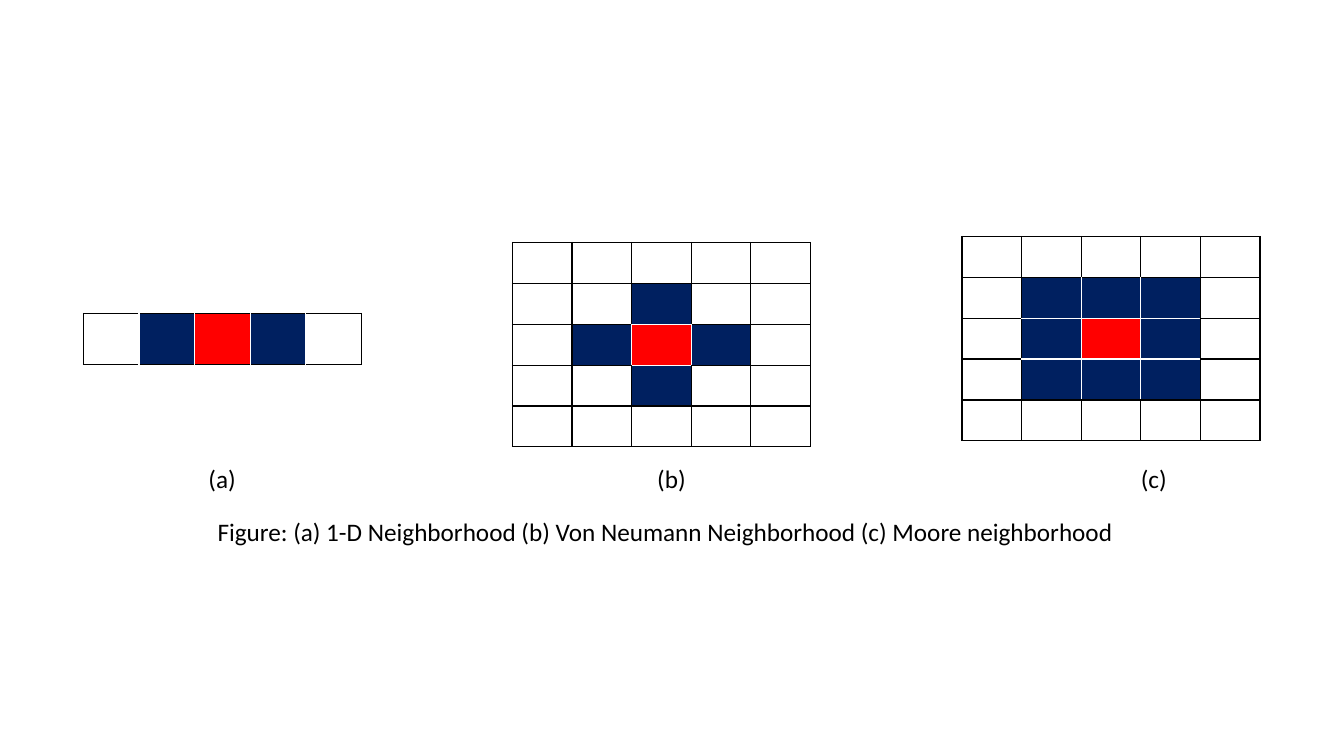
import pptx
import pptx.dml.color
import pptx.enum.text
import pptx.oxml
import pptx.oxml.ns
import pptx.util
from dataclasses import dataclass

Pt = pptx.util.Pt


@dataclass(frozen=True)
class Theme:
    blank: str = "FFFFFF"
    neighbor: str = "002060"
    center: str = "FF0000"
    ink: str = "000000"
    font: str = "Calibri"
    text_size: float = 18
    border_width: float = 1


class NeighborhoodSlide:
    """Holds the theme and the slide that is being filled."""

    def __init__(self, slide, theme):
        self.slide = slide
        self.theme = theme
        self.fills = {".": theme.blank, "N": theme.neighbor, "C": theme.center}

    def border(self, cell, position, side, color):
        line = pptx.oxml.parse_xml(
            f'<a:ln{side} {pptx.oxml.ns.nsdecls("a")} w="{Pt(self.theme.border_width)}">'
            f'<a:solidFill><a:srgbClr val="{color}"/></a:solidFill></a:ln{side}>')
        cell._tc.get_or_add_tcPr().insert(position, line)

    def grid(self, left, top, cell_width, cell_height, pattern, white_inside=False):
        """Inner edges are white between coloured cells, or everywhere if white_inside."""
        row_count, column_count = len(pattern), len(pattern[0])
        frame = self.slide.shapes.add_table(
            row_count, column_count, Pt(left), Pt(top),
            Pt(cell_width * column_count), Pt(cell_height * row_count))
        table = frame.table
        table.first_row = table.horz_banding = False
        for column in table.columns:
            column.width = Pt(cell_width)
        for row in table.rows:
            row.height = Pt(cell_height)

        def edge_color(row, column, next_row, next_column):
            if not (0 <= next_row < row_count and 0 <= next_column < column_count):
                return self.theme.ink
            pair = pattern[row][column] + pattern[next_row][next_column]
            return self.theme.blank if white_inside or "." not in pair else self.theme.ink

        # The schema asks for the sides in this order, ahead of the fill
        sides = {"L": (0, -1), "R": (0, 1), "T": (-1, 0), "B": (1, 0)}
        for row, marks in enumerate(pattern):
            for column, mark in enumerate(marks):
                cell = table.cell(row, column)
                cell.fill.solid()
                cell.fill.fore_color.rgb = pptx.dml.color.RGBColor.from_string(self.fills[mark])
                cell.text_frame.paragraphs[0].font.size = Pt(self.theme.text_size)
                for position, (side, (down, across)) in enumerate(sides.items()):
                    color = edge_color(row, column, row + down, column + across)
                    self.border(cell, position, side, color)

    def label(self, left, top, width, text):
        shape = self.slide.shapes.add_textbox(Pt(left), Pt(top), Pt(width), Pt(29))
        frame = shape.text_frame
        frame.word_wrap = False
        frame.auto_size = pptx.enum.text.MSO_AUTO_SIZE.SHAPE_TO_FIT_TEXT
        paragraph = frame.paragraphs[0]
        paragraph.text = text
        paragraph.font.name = self.theme.font
        paragraph.font.size = Pt(self.theme.text_size)
        paragraph.font.color.rgb = pptx.dml.color.RGBColor.from_string(self.theme.ink)


def main():
    presentation = pptx.Presentation()
    presentation.slide_width, presentation.slide_height = Pt(960), Pt(540)
    slide = presentation.slides.add_slide(presentation.slide_layouts[6])
    figure = NeighborhoodSlide(slide, Theme())

    # Neighborhood grids: N is a neighbor, C the center cell
    figure.grid(59.6, 223.9, 39.7, 36.4, [".NCN."], white_inside=True)
    von_neumann = [".....", "..N..", ".NCN.", "..N..", "....."]
    moore = [".....", ".NNN.", ".NCN.", ".NNN.", "....."]
    for left, top, pattern in ((366, 173.2, von_neumann), (687.1, 168.9, moore)):
        figure.grid(left, top, 42.6, 29.2, pattern)

    # Grid labels
    for left, width, text in ((141.8, 34.5, "(a)"), (462.4, 35.2, "(b)"), (807.8, 33.2, "(c)")):
        figure.label(left, 327.6, width, text)

    # Caption
    figure.label(148.3, 365.2, 662.4,
                 "Figure: (a) 1-D Neighborhood (b) Von Neumann Neighborhood (c) Moore neighborhood")

    presentation.save("out.pptx")


if __name__ == "__main__":
    main()
